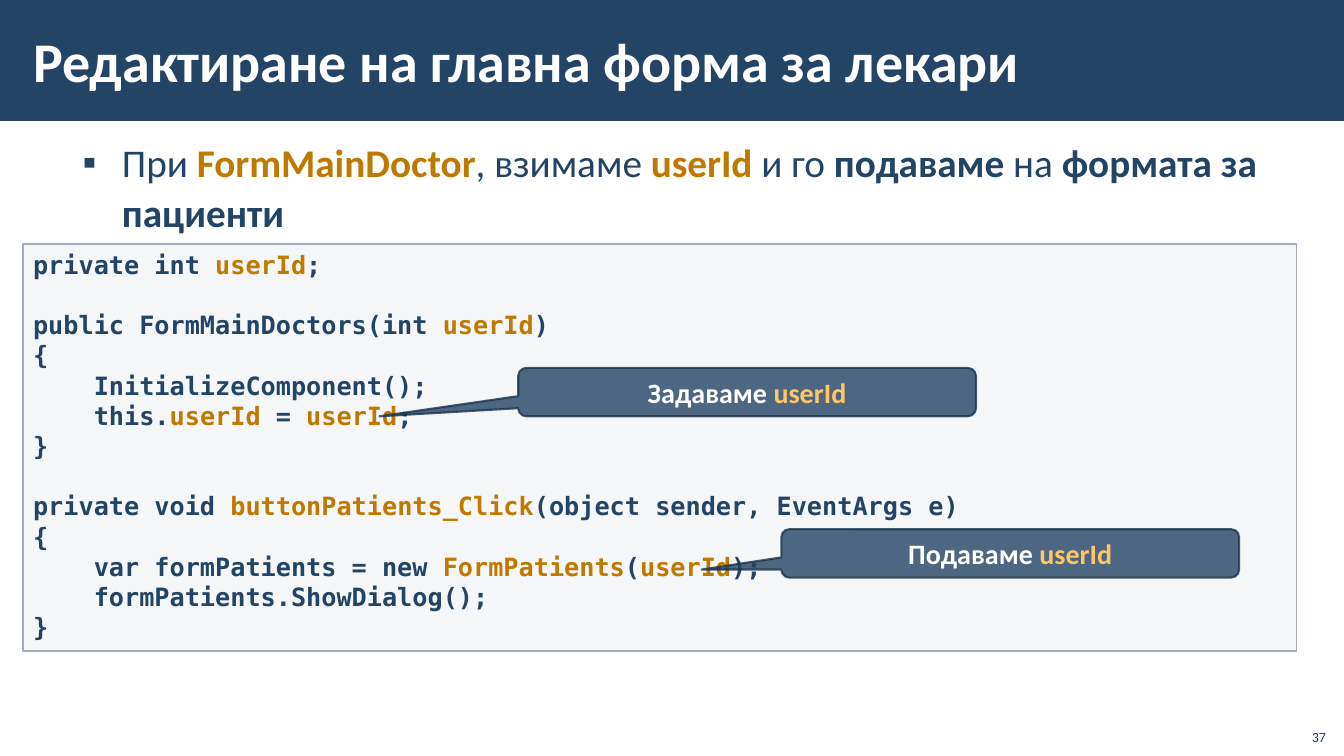
from dataclasses import dataclass

from lxml import etree
from pptx import Presentation
from pptx import util as u
from pptx.dml.color import RGBColor
from pptx.enum import shapes, text
from pptx.oxml import ns


@dataclass(frozen=True)
class Theme:
    navy: str = "234465"
    outline: str = "1A334C"
    accent: str = "BF7800"
    light_accent: str = "FFC666"
    white: str = "FFFFFF"
    panel: str = "C2C7D2"
    panel_line: str = "A3ABBC"
    font: str = "Calibri"
    code_font: str = "DejaVu Sans Mono"
    title_size: int = 40
    body_size: int = 28
    callout_size: int = 20
    code_size: int = 18
    number_size: int = 10


THEME = Theme()
WIDTH, HEIGHT = 13.33, 7.5
CODE = """private int |userId|;

public FormMainDoctors(int |userId|)
{
    InitializeComponent();
    this.|userId| = |userId|;
}

private void |buttonPatients_Click|(object sender, EventArgs e)
{
    var formPatients = new |FormPatients|(|userId|);
    formPatients.ShowDialog();
}"""


def inches(box):
    return [u.Inches(value) for value in box]


def set_alpha(fill_format, element, percent):
    colour = element.find(".//" + ns.qn("a:srgbClr"))
    alpha = etree.SubElement(colour, ns.qn("a:alpha"))
    alpha.set("val", str(percent * 1000))


def add_box(slide, kind, box, fill, opacity=100, line=None, line_width=1):
    shape = slide.shapes.add_shape(kind, *inches(box))
    shape.shadow.inherit = False
    shape.fill.solid()
    shape.fill.fore_color.rgb = RGBColor.from_string(fill)
    if opacity < 100:
        set_alpha(shape.fill, shape._element.spPr.find(ns.qn("a:solidFill")), opacity)
    if line:
        shape.line.color.rgb = RGBColor.from_string(line)
        shape.line.width = u.Pt(line_width)
    else:
        shape.line.fill.background()
    return shape


def write(shape, content, *, size, colour, accent=None, font=THEME.font, bold=False,
          align=text.PP_ALIGN.LEFT, anchor=text.MSO_ANCHOR.TOP, insets=(0.1, 0.05),
          spacing=None, bullet=None):
    """Bars switch the accent colour and asterisks switch bold type."""
    frame = shape.text_frame
    frame.word_wrap = True
    frame.vertical_anchor = anchor
    frame.margin_left = frame.margin_right = u.Inches(insets[0])
    frame.margin_top = frame.margin_bottom = u.Inches(insets[1])
    for index, line in enumerate(content.split("\n")):
        paragraph = frame.add_paragraph() if index else frame.paragraphs[0]
        paragraph.alignment = align
        if spacing:
            paragraph.line_spacing = spacing
        if bullet:
            add_bullet(paragraph, bullet, colour)
        paragraph.font.size = u.Pt(size)
        for part_index, part in enumerate(line.split("|")):
            run_colour = accent if part_index % 2 else colour
            for piece_index, piece in enumerate(part.split("*")):
                if piece_index:
                    bold = not bold
                if piece:
                    run = paragraph.add_run()
                    run.text = piece
                    run.font.name = font
                    run.font.size = u.Pt(size)
                    run.font.bold = bold
                    run.font.color.rgb = RGBColor.from_string(run_colour)


def add_bullet(paragraph, character, colour):
    properties = paragraph._p.get_or_add_pPr()
    properties.set("marL", str(u.Inches(0.88)))
    properties.set("indent", str(u.Inches(-0.39)))
    bullet_colour = etree.SubElement(properties, ns.qn("a:buClr"))
    etree.SubElement(bullet_colour, ns.qn("a:srgbClr")).set("val", colour)
    etree.SubElement(properties, ns.qn("a:buFont")).set("typeface", "Arial")
    etree.SubElement(properties, ns.qn("a:buChar")).set("char", character)


def add_header(slide, box, title):
    left, top, width, height = box
    add_box(slide, shapes.MSO_SHAPE.RECTANGLE, box, THEME.navy)
    title_box = slide.shapes.add_textbox(
        *inches((left + 0.21, top + 0.11, width - 2.1, height - 0.23)))
    write(title_box, title, size=THEME.title_size, colour=THEME.white, bold=True,
          anchor=text.MSO_ANCHOR.MIDDLE, insets=(0.12, 0.04))


def add_body(slide, box, content):
    body = slide.shapes.add_textbox(*inches(box))
    write(body, content, size=THEME.body_size, colour=THEME.navy, accent=THEME.accent,
          insets=(0.12, 0.04), spacing=1.05, bullet="▪")


def add_callout(slide, box, content, tip):
    callout = add_box(slide, shapes.MSO_SHAPE.ROUNDED_RECTANGULAR_CALLOUT, box,
                      THEME.navy, 80, THEME.outline, 1.5)
    set_alpha(callout.line.fill, callout.line._ln, 80)
    for index, value in enumerate((*tip, 0.167)):
        callout.adjustments[index] = value
    write(callout, content, size=THEME.callout_size, colour=THEME.white,
          accent=THEME.light_accent, bold=True, align=text.PP_ALIGN.CENTER,
          anchor=text.MSO_ANCHOR.MIDDLE)


def add_code(slide, box, code, callouts):
    left, top = box[:2]
    panel = add_box(slide, shapes.MSO_SHAPE.RECTANGLE, box, THEME.panel, 15,
                    THEME.panel_line)
    write(panel, code, size=THEME.code_size, colour=THEME.navy, accent=THEME.accent,
          font=THEME.code_font, bold=True, spacing=u.Pt(THEME.code_size * 1.2))
    for across, down, content, tip in callouts:
        add_callout(slide, (left + across, top + down, 4.54, 0.48), content, tip)


def add_number(slide, box, number):
    number_box = slide.shapes.add_textbox(*inches(box))
    write(number_box, number, size=THEME.number_size, colour=THEME.navy,
          align=text.PP_ALIGN.RIGHT, anchor=text.MSO_ANCHOR.BOTTOM)


def build_code_slide(presentation):
    slide = presentation.slides.add_slide(presentation.slide_layouts[6])
    add_header(slide, (0, 0, WIDTH, 0.16 * HEIGHT),
               "Редактиране на главна форма за лекари")
    add_number(slide, (WIDTH - 0.48, HEIGHT - 0.38, 0.4, 0.32), "37")
    add_body(slide, (0.21, 1.31, WIDTH - 0.41, 6.05),
             "При *|FormMainDoctor|*, взимаме *|userId |*и го *подаваме* на "
             "*формата за пациенти*")
    add_code(slide, (0.23, 2.42, 12.63, 4.04), CODE, [
        (4.91, 1.23, "Задаваме |userId|", (-0.803, 0.5)),
        (7.52, 2.83, "Подаваме |userId|", (-0.674, 0.334)),
    ])


def main():
    presentation = Presentation()
    presentation.slide_width = u.Inches(WIDTH)
    presentation.slide_height = u.Inches(HEIGHT)
    build_code_slide(presentation)
    presentation.save("out.pptx")


if __name__ == "__main__":
    main()
